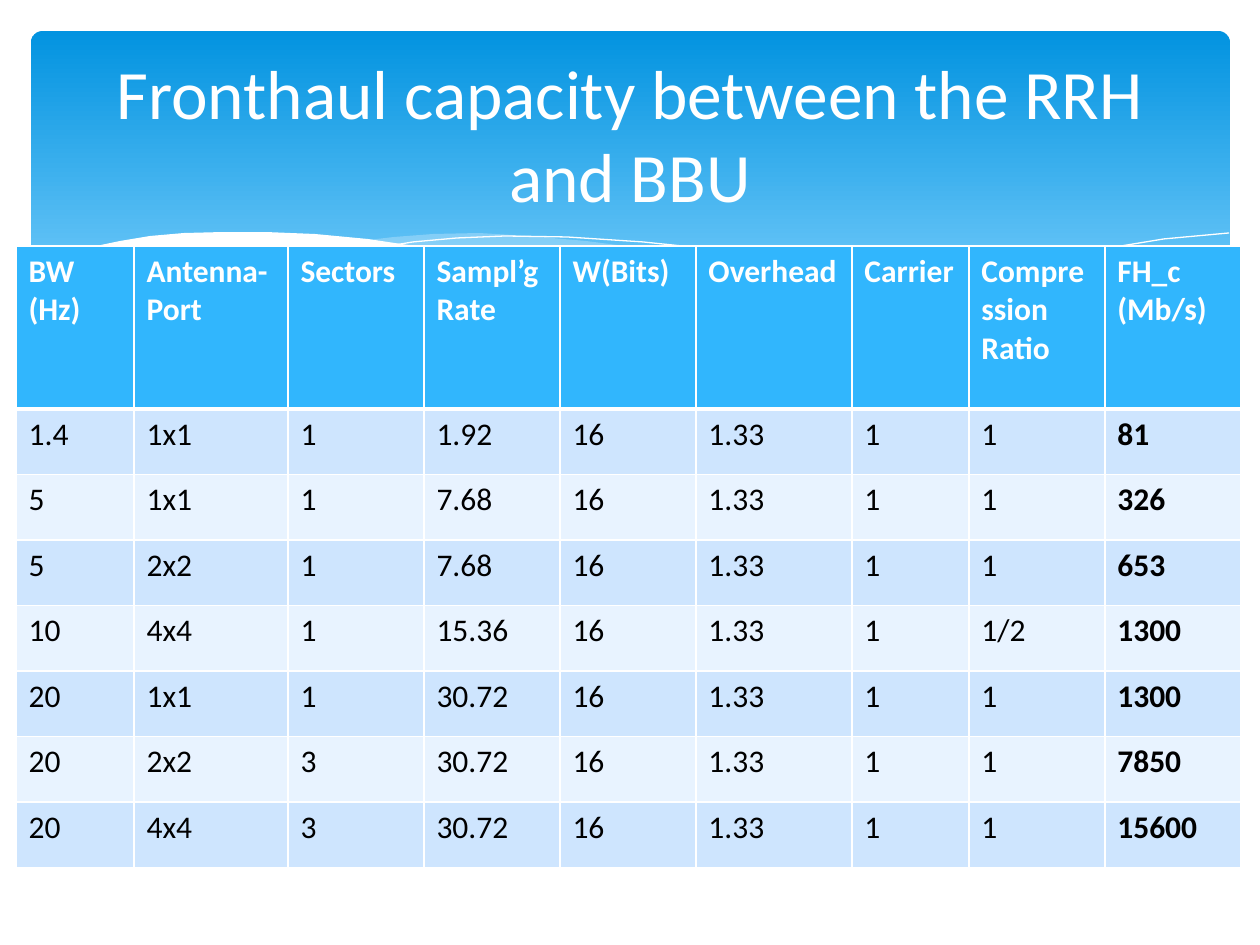
from lxml import etree
from pptx import Presentation
from pptx import util as u
from pptx.dml.color import RGBColor
from pptx.enum import shapes, text
from pptx.oxml import ns

SCALE = u.Inches(1) / 126  # EMU in one px
WHITE = RGBColor(0xFF, 0xFF, 0xFF)
BLACK = RGBColor(0, 0, 0)
DEEP_BLUE = RGBColor(0x02, 0x93, 0xE0)
LIGHT_BLUE = RGBColor(0x83, 0xD3, 0xFE)
PALE_BLUE = RGBColor(0xC6, 0xE7, 0xFC)
HEAD_BLUE = RGBColor(0x31, 0xB6, 0xFD)
BANDS = RGBColor(0xE8, 0xF3, 0xFF), RGBColor(0xCE, 0xE5, 0xFE)
FONT = "Calibri"

TITLE = "Fronthaul capacity between the RRH and BBU"
HEADERS = ["BW\n(Hz)", "Antenna-Port", "Sectors", "Sampl’g Rate", "W(Bits)",
           "Overhead", "Carrier", "Compression Ratio", "FH_c (Mb/s)"]
# bandwidth, antenna ports, sectors, sampling rate, compression, capacity
LINKS = [
    ("1.4", "1x1", "1", "1.92", "1", "81"),
    ("5", "1x1", "1", "7.68", "1", "326"),
    ("5", "2x2", "1", "7.68", "1", "653"),
    ("10", "4x4", "1", "15.36", "1/2", "1300"),
    ("20", "1x1", "1", "30.72", "1", "1300"),
    ("20", "2x2", "3", "30.72", "1", "7850"),
    ("20", "4x4", "3", "30.72", "1", "15600"),
]
WORD_BITS, OVERHEAD, CARRIERS = "16", "1.33", "1"
COLUMNS = [118, 154, 136, 136, 136, 156, 117, 136, 136]
HEAD_HEIGHT = 163

# Wave outlines, relative to the wave box
RIGHT_WAVE = [
    (1201, 20), (1165, 25), (1113, 36), (1056, 49), (985, 67), (890, 87),
    (804, 102), (842, 107), (893, 113), (940, 117), (997, 118), (1047, 116),
    (1101, 108), (1149, 98), (1184, 86), (1201, 79)]
MIDDLE_WAVE = [
    (1096, 112), (1026, 102), (948, 88), (861, 70), (764, 48), (707, 34),
    (653, 24), (604, 15), (557, 9), (500, 4), (450, 1), (404, 2), (365, 5),
    (331, 9), (378, 15), (427, 24), (480, 34), (537, 48), (639, 70),
    (728, 89), (809, 103), (881, 113), (945, 117), (1014, 118), (1063, 116)]
FALLING_LINE = [
    (360, 14), (384, 10), (428, 6), (476, 4), (538, 5), (614, 10), (672, 16),
    (737, 25), (809, 36), (887, 53), (973, 72), (1114, 111)]
RISING_LINE = [
    (743, 92), (818, 72), (913, 49), (987, 33), (1062, 19), (1135, 7), (1200, 1)]
WHITE_WAVE = [
    (1202, 78), (1168, 91), (1130, 102), (1088, 110), (1042, 115), (990, 117),
    (930, 115), (863, 108), (787, 98), (701, 83), (605, 62), (534, 45),
    (464, 29), (399, 16), (339, 7), (286, 2), (237, 0), (194, 0), (155, 1),
    (121, 4), (91, 9), (67, 14), (45, 21), (29, 26), (16, 32), (0, 36),
    (0, 183), (1202, 183)]


def px(length):
    return u.Emu(round(length * SCALE))


def set_all(target, **values):
    for name, value in values.items():
        setattr(target, name, value)


def write(para, words, size, color, bold=False):
    span = para.add_run()
    span.text = words
    set_all(span.font, name=FONT, size=u.Pt(size), bold=bold)
    span.font.color.rgb = color


def add_band(page, box):
    band = page.shapes.add_shape(
        shapes.MSO_SHAPE.ROUNDED_RECTANGLE, *map(px, box))
    band.adjustments[0] = 0.034
    band.shadow.inherit = False
    band.line.fill.background()
    band.fill.gradient()
    band.fill.gradient_angle = 270
    stops = zip(band.fill.gradient_stops, (0, 0.9), (DEEP_BLUE, LIGHT_BLUE))
    for stop, position, color in stops:
        stop.position = position
        stop.color.rgb = color


def add_wave(page, box, points, color=None, alpha=100):
    """A filled wave, or an open white hairline when no colour is given."""
    left, top = box[:2]
    (x, y), *rest = [(left + x, top + y) for x, y in points]
    builder = page.shapes.build_freeform(x, y, scale=SCALE)
    builder.add_line_segments(rest, close=color is not None)
    wave = builder.convert_to_shape()
    wave.shadow.inherit = False
    if color is None:
        wave.fill.background()
        wave.line.color.rgb = WHITE
        wave.line.width = u.Pt(0)
        return
    wave.line.fill.background()
    wave.fill.solid()
    wave.fill.fore_color.rgb = color
    if alpha < 100:
        tint = wave.fill._xPr.find(".//" + ns.qn("a:srgbClr"))
        etree.SubElement(tint, ns.qn("a:alpha"), val=str(alpha * 1000))


def add_waves(page, box):
    add_wave(page, box, RIGHT_WAVE, PALE_BLUE, 29)
    add_wave(page, box, MIDDLE_WAVE, PALE_BLUE, 40)
    add_wave(page, box, FALLING_LINE)
    add_wave(page, box, RISING_LINE)
    add_wave(page, box, WHITE_WAVE, WHITE)


def add_borders(cell, **widths):
    properties = cell._tc.get_or_add_tcPr()
    for side in "LRTB":
        line = etree.SubElement(properties, ns.qn("a:ln" + side),
                                w=str(u.Pt(widths.get(side, 1))))
        fill = etree.SubElement(line, ns.qn("a:solidFill"))
        etree.SubElement(fill, ns.qn("a:srgbClr"), val=str(WHITE))


def fill_cell(cell, words, back, color, bold, **borders):
    add_borders(cell, **borders)
    cell.fill.solid()
    cell.fill.fore_color.rgb = back
    frame = cell.text_frame
    for index, line in enumerate(words.split("\n")):
        para = frame.add_paragraph() if index else frame.paragraphs[0]
        write(para, line, 18, color, bold)


def add_capacity_table(page, box):
    table = page.shapes.add_table(
        len(LINKS) + 1, len(HEADERS), *map(px, box)).table
    for column, width in zip(table.columns, COLUMNS):
        column.width = px(width)
    for row in table.rows:
        row.height = px((box[3] - HEAD_HEIGHT) / len(LINKS))
    table.rows[0].height = px(HEAD_HEIGHT)

    for col, words in enumerate(HEADERS):
        fill_cell(table.cell(0, col), words, HEAD_BLUE, WHITE, True, B=3)
    for row, (*radio, ratio, capacity) in enumerate(LINKS, 1):
        values = [*radio, WORD_BITS, OVERHEAD, CARRIERS, ratio, capacity]
        for col, words in enumerate(values):
            fill_cell(table.cell(row, col), words, BANDS[row % 2], BLACK,
                      col == len(values) - 1, T=3 if row == 1 else 1)


def add_title(page, box):
    frame = page.shapes.add_textbox(*map(px, box)).text_frame
    set_all(frame, word_wrap=True, vertical_anchor=text.MSO_ANCHOR.MIDDLE)
    para = frame.paragraphs[0]
    para.alignment = text.PP_ALIGN.CENTER
    write(para, TITLE, 39.6, WHITE)


def main():
    deck = Presentation()
    set_all(deck, slide_width=px(1260), slide_height=px(945))
    page = deck.slides.add_slide(deck.slide_layouts[6])
    add_band(page, (31, 31, 1199, 340))
    add_waves(page, (29, 232, 1202, 183))
    add_capacity_table(page, (16, 246, sum(COLUMNS), 622))
    add_title(page, (63, 47, 1134, 173))
    deck.save("out.pptx")


if __name__ == "__main__":
    main()
